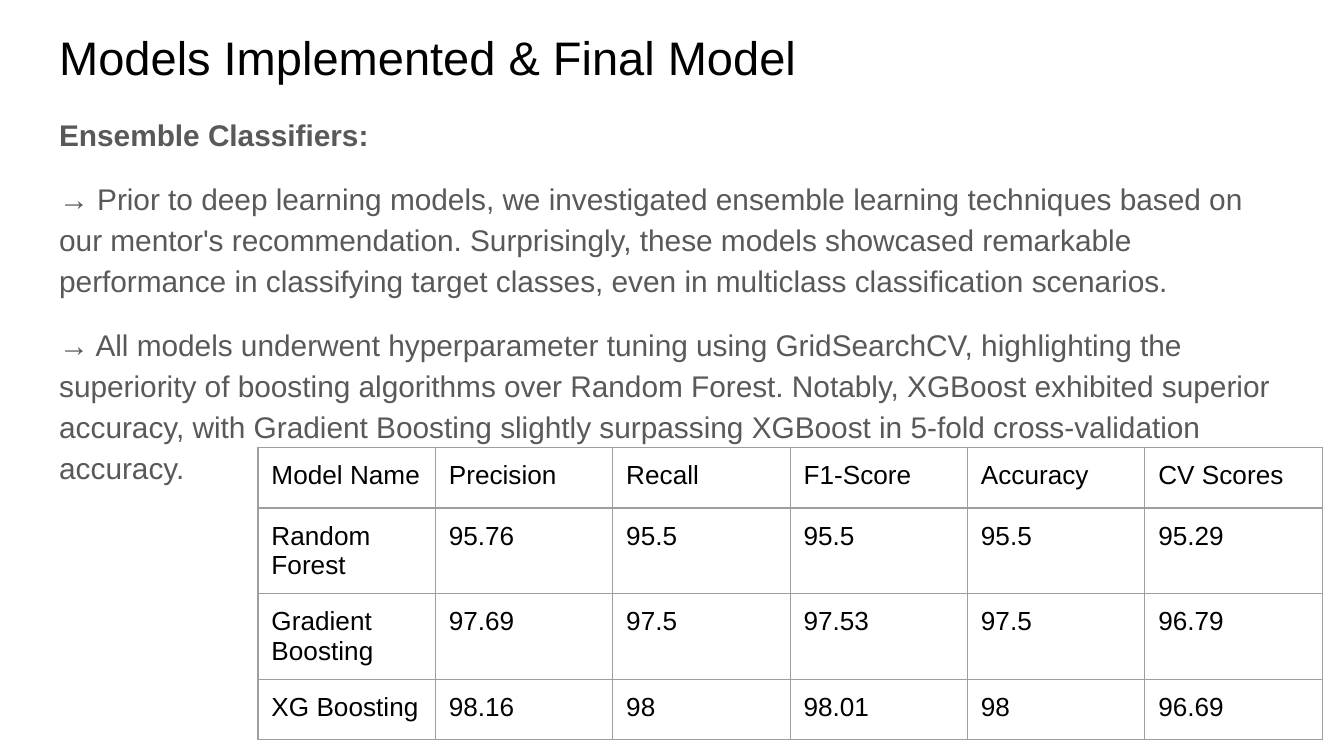
from lxml.etree import SubElement
from pptx import Presentation
from pptx.dml.color import RGBColor
from pptx.enum.text import MSO_ANCHOR, MSO_AUTO_SIZE, PP_ALIGN
from pptx.oxml.ns import qn
from pptx.util import Inches, Pt

COLORS = {"ink": "000000", "body": "595959", "rule": "9E9E9E"}
WIDE = 10
HIGH = WIDE * 9 / 16
LEFT, SPAN = 0.34, 9.32
PAD = Inches(0.1)
COL, ROW = 1.32, 0.45

TITLE = "Models Implemented & Final Model"
BODY = [
    "Ensemble Classifiers:",
    "→ Prior to deep learning models, we investigated ensemble learning "
    "techniques based on our mentor's recommendation. Surprisingly, these "
    "models showcased remarkable performance in classifying target classes, "
    "even in multiclass classification scenarios.",
    "→ All models underwent hyperparameter tuning using GridSearchCV, "
    "highlighting the superiority of boosting algorithms over Random Forest. "
    "Notably, XGBoost exhibited superior accuracy, with Gradient Boosting "
    "slightly surpassing XGBoost in 5-fold cross-validation accuracy.",
]
SCORES = [
    ["Model Name", "Precision", "Recall", "F1-Score", "Accuracy", "CV Scores"],
    ["Random Forest", "95.76", "95.5", "95.5", "95.5", "95.29"],
    ["Gradient Boosting", "97.69", "97.5", "97.53", "97.5", "96.79"],
    ["XG Boosting", "98.16", "98", "98.01", "98", "96.69"],
]


def write(para, text, size=14, color="ink", bold=False, line=1.0, before=0):
    para.alignment = PP_ALIGN.LEFT
    para.line_spacing = line
    para.space_before = Pt(before)
    para.space_after = Pt(0)
    run = para.add_run()
    run.text = text
    run.font.name = "Arial"
    run.font.size = Pt(size)
    run.font.bold = bold
    run.font.color.rgb = RGBColor.from_string(COLORS[color])


def place(shape, top, height, anchor):
    shape.left, shape.top = Inches(LEFT), Inches(top)
    shape.width, shape.height = Inches(SPAN), Inches(height)
    frame = shape.text_frame
    frame.word_wrap = True
    frame.auto_size = MSO_AUTO_SIZE.NONE
    frame.vertical_anchor = anchor
    frame.margin_left = frame.margin_right = PAD
    frame.margin_top = frame.margin_bottom = PAD
    return frame


def unlist(para):
    props = para._p.get_or_add_pPr()
    props.set("marL", "0")
    props.set("indent", "0")
    SubElement(props, qn("a:buNone"))


def fill_body(frame):
    for i, text in enumerate(BODY):
        para = frame.add_paragraph() if i else frame.paragraphs[0]
        write(para, text, size=16, color="body", bold=i == 0,
              line=1.15, before=12 if i else 0)
        unlist(para)


def border(cell):
    props = cell._tc.get_or_add_tcPr()
    for i, side in enumerate(("lnL", "lnR", "lnT", "lnB")):
        line = props.makeelement(qn(f"a:{side}"), {"w": str(Pt(0.75))})
        fill = SubElement(line, qn("a:solidFill"))
        SubElement(fill, qn("a:srgbClr"), val=COLORS["rule"])
        props.insert(i, line)


def add_scores(slide):
    rows, cols = len(SCORES), len(SCORES[0])
    table = slide.shapes.add_table(
        rows, cols, Inches(1.92), Inches(3.33),
        Inches(cols * COL), Inches(rows * ROW)).table
    table.first_row = table.horz_banding = False
    for r, values in enumerate(SCORES):
        for c, value in enumerate(values):
            cell = table.cell(r, c)
            cell.margin_left = cell.margin_right = PAD
            cell.margin_top = cell.margin_bottom = PAD
            cell.fill.background()
            border(cell)
            write(cell.text_frame.paragraphs[0], value)


def main():
    deck = Presentation()
    deck.slide_width, deck.slide_height = Inches(WIDE), Inches(HIGH)
    slide = deck.slides.add_slide(deck.slide_layouts[1])
    title = place(slide.shapes.title, 0.11, 0.63, MSO_ANCHOR.MIDDLE)
    write(title.paragraphs[0], TITLE, size=25.2)
    fill_body(place(slide.placeholders[1], 0.73, 4.54, MSO_ANCHOR.TOP))
    add_scores(slide)
    deck.save("out.pptx")


if __name__ == "__main__":
    main()
